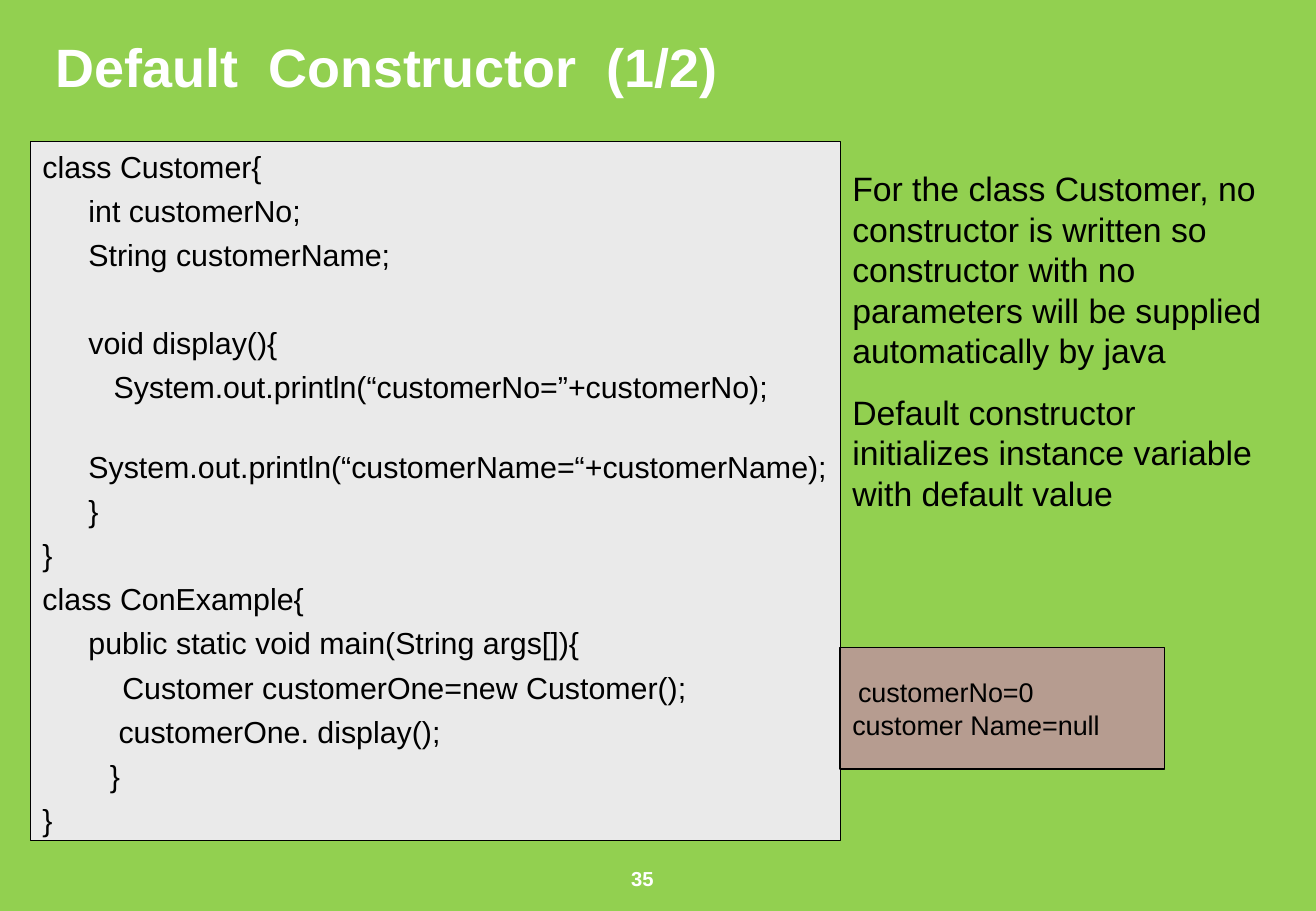
from lxml import etree
from pptx import Presentation
from pptx.dml.color import RGBColor
from pptx.enum.shapes import MSO_SHAPE
from pptx.enum.text import MSO_ANCHOR, PP_ALIGN
from pptx.oxml.ns import qn
from pptx.util import Cm, Pt

RECTANGLE = MSO_SHAPE.RECTANGLE
PROCESS = MSO_SHAPE.FLOWCHART_PROCESS
TOP, MIDDLE = MSO_ANCHOR.TOP, MSO_ANCHOR.MIDDLE
LEFT, CENTER = PP_ALIGN.LEFT, PP_ALIGN.CENTER

GREEN, GREY, BROWN = "92D050", "EAEAEA", "B69C90"
BLACK, WHITE = "000000", "FFFFFF"
LINE_FACTOR = 1.2
CODE_SIZE = 18
CODE_GAP = 4.5
CODE_LINE = CODE_SIZE * LINE_FACTOR
SKIPPED_LINE = CODE_GAP + CODE_LINE

CODE = [
    ("class Customer{", 0, 0),
    ("int customerNo;", 0.96, CODE_GAP),
    ("String customerName;", 0.96, CODE_GAP),
    ("void display(){", 0.96, SKIPPED_LINE + CODE_GAP),
    ("System.out.println(“customerNo=”+customerNo);", 1.49, CODE_GAP),
    ("System.out.println(“customerName=“+customerName);", 0.96, SKIPPED_LINE),
    ("}", 0.96, CODE_GAP),
    ("}", 0, CODE_GAP),
    ("class ConExample{", 0, CODE_GAP),
    ("public static void main(String args[]){", 0.96, CODE_GAP),
    ("Customer customerOne=new Customer();", 1.67, CODE_GAP),
    ("customerOne. display();", 1.59, CODE_GAP),
    ("}", 1.41, CODE_GAP),
    ("}", 0, CODE_GAP),
]
NOTES = [
    ("For the class Customer, no constructor is written so constructor with no "
     "parameters will be supplied automatically by java", 0, 0),
    ("Default constructor initializes instance variable with default value", 0, 12.5),
]
OUTPUT = [("customerNo=0", 0.12, 0), ("customer Name=null", 0, 0)]


def color(value):
    return RGBColor.from_string(value)


def set_format(target, values):
    for name, value in values.items():
        setattr(target, name, value)


def add_text_shadow(run):
    fill = run.font._element.find(qn("a:solidFill"))
    effects = etree.Element(qn("a:effectLst"))
    shadow = etree.SubElement(effects, qn("a:outerShdw"), dist="17961", dir="2700000")
    etree.SubElement(shadow, qn("a:srgbClr"), val=BLACK)
    fill.addnext(effects)


def write_lines(shape, lines, size, text_color=BLACK, bold=False,
                align=LEFT, anchor=TOP, shadow=False):
    frame = shape.text_frame
    set_format(frame, {
        "word_wrap": True, "vertical_anchor": anchor,
        "margin_left": Cm(0.25), "margin_right": Cm(0.25),
        "margin_top": Cm(0.13), "margin_bottom": Cm(0.13),
    })
    for index, (text, indent, gap) in enumerate(lines):
        paragraph = frame.add_paragraph() if index else frame.paragraphs[0]
        set_format(paragraph, {
            "alignment": align, "space_before": Pt(gap),
            "line_spacing": Pt(size * LINE_FACTOR),
        })
        if indent:
            paragraph._p.get_or_add_pPr().set("marL", str(Cm(indent)))
        run = paragraph.add_run()
        run.text = text
        set_format(run.font, {"name": "Arial", "size": Pt(size), "bold": bold})
        run.font.color.rgb = color(text_color)
        if shadow:
            add_text_shadow(run)


def add_panel(slide, box, preset, fill, line_width):
    shape = slide.shapes.add_shape(preset, *box)
    shape.shadow.inherit = False
    shape.fill.solid()
    shape.fill.fore_color.rgb = color(fill)
    shape.line.color.rgb = color(BLACK)
    shape.line.width = Pt(line_width)
    return shape


def add_title(slide, box):
    write_lines(slide.shapes.add_textbox(*box), [("Default  Constructor  (1/2)", 0, 0)],
                32, WHITE, bold=True, anchor=MIDDLE, shadow=True)


def add_code(slide, box):
    panel = add_panel(slide, box, RECTANGLE, GREY, 0.75)
    write_lines(panel, CODE, CODE_SIZE)


def add_explanation(slide, box):
    left, top, width, height = box
    notes = slide.shapes.add_textbox(left, top, width, height - Cm(2.64))
    write_lines(notes, NOTES, 20)
    output_box = (left, top + height - Cm(2.54), Cm(6.78), Cm(2.54))
    output = add_panel(slide, output_box, PROCESS, BROWN, 1)
    write_lines(output, OUTPUT, 16, anchor=MIDDLE)


def add_page_number(slide, box):
    write_lines(slide.shapes.add_textbox(*box), [("35", 0, 0)], 12, WHITE,
                bold=True, align=CENTER, shadow=True)


def main():
    presentation = Presentation()
    set_format(presentation, {"slide_width": Cm(27.53), "slide_height": Cm(19.05)})
    slide = presentation.slides.add_slide(presentation.slide_layouts[6])
    slide.background.fill.solid()
    slide.background.fill.fore_color.rgb = color(GREEN)
    add_page_number(slide, (Cm(12.27), Cm(17.98), Cm(2.34), Cm(1.07)))
    add_title(slide, (Cm(0.91), Cm(0.03), Cm(22.43), Cm(2.69)))
    add_code(slide, (Cm(0.64), Cm(2.96), Cm(16.94), Cm(14.61)))
    add_explanation(slide, (Cm(17.58), Cm(3.38), Cm(9.32), Cm(12.7)))
    presentation.save("out.pptx")


if __name__ == "__main__":
    main()
